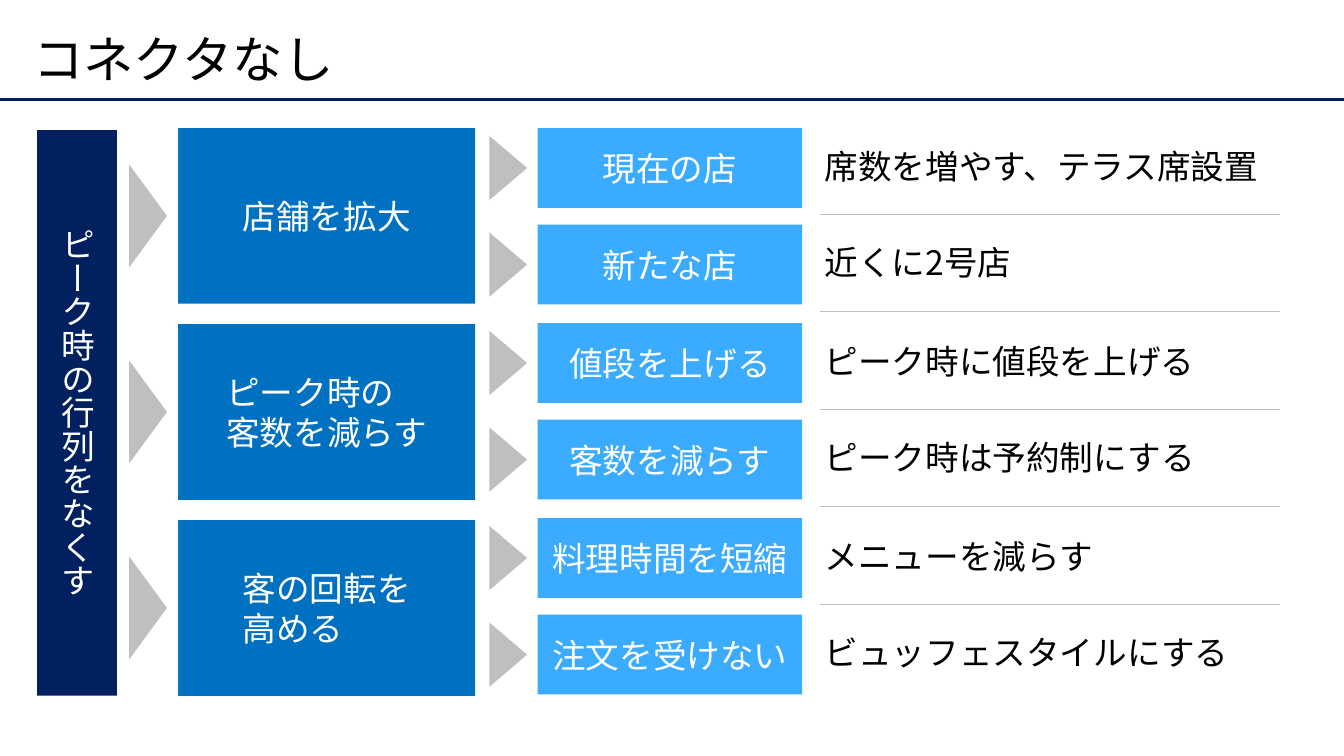
from dataclasses import dataclass

from lxml import etree
from pptx import Presentation
from pptx.dml.color import RGBColor
from pptx.enum.shapes import MSO_CONNECTOR, MSO_SHAPE
from pptx.enum.text import MSO_ANCHOR, PP_ALIGN
from pptx.oxml.ns import qn
from pptx.util import Pt

RECT, TRIANGLE = MSO_SHAPE.RECTANGLE, MSO_SHAPE.ISOSCELES_TRIANGLE
STRAIGHT = MSO_CONNECTOR.STRAIGHT
MIDDLE, LEFT = MSO_ANCHOR.MIDDLE, PP_ALIGN.LEFT


@dataclass(frozen=True)
class Theme:
    font: str = "Noto Sans CJK JP"
    title_size: int = 36
    body_size: int = 24
    navy: str = "002060"
    blue: str = "0070C0"
    sky: str = "3BABFF"
    gray: str = "BFBFBF"
    black: str = "000000"
    white: str = "FFFFFF"


THEME = Theme()

TITLE = "コネクタなし"
ROOT = "ピーク時の行列をなくす"
# Branch lines, then (cause, measure) for each leaf
BRANCHES = [
    (["店舗を拡大"],
     [("現在の店", "席数を増やす、テラス席設置"), ("新たな店", "近くに2号店")]),
    (["ピーク時の", "客数を減らす"],
     [("値段を上げる", "ピーク時に値段を上げる"),
      ("客数を減らす", "ピーク時は予約制にする")]),
    (["客の回転を", "高める"],
     [("料理時間を短縮", "メニューを減らす"),
      ("注文を受けない", "ビュッフェスタイルにする")]),
]

# Vertical rhythm of the tree, in points
TREE_TOP = 91.5
BRANCH_PITCH, BRANCH_HEIGHT = 140, 125.5
LEAF_GROUP_PITCH, LEAF_PITCH, LEAF_HEIGHT = 139.3, 69, 57


def to_pt(box):
    return [Pt(v) for v in box]


def write(tf, lines, color, size=THEME.body_size):
    for i, line in enumerate(lines):
        p = tf.paragraphs[0] if i == 0 else tf.add_paragraph()
        p.text = line
        p.alignment = LEFT
        p.font.size = Pt(size)
        p.font.color.rgb = RGBColor.from_string(color)
        p.font.name = THEME.font
        ea = etree.SubElement(p._p.pPr.find(qn("a:defRPr")), qn("a:ea"))
        ea.set("typeface", THEME.font)


def add_filled(slide, kind, box, color):
    sp = slide.shapes.add_shape(kind, *to_pt(box))
    sp.shadow.inherit = False
    sp.fill.solid()
    sp.fill.fore_color.rgb = RGBColor.from_string(color)
    sp.line.fill.background()
    return sp


def add_block(slide, box, color, lines):
    """Rectangle whose left-aligned text is centred as one block."""
    tf = add_filled(slide, RECT, box, color).text_frame
    tf.word_wrap = True
    tf.vertical_anchor = MIDDLE
    tf.margin_left = tf.margin_right = Pt(3.6)
    tf.margin_top = tf.margin_bottom = Pt(5)
    body = tf._txBody.bodyPr
    body.set("anchorCtr", "1")
    write(tf, lines, THEME.white)
    return body


def add_pointer(slide, center_x, center_y, span):
    """Right-pointing triangle, span points tall."""
    depth = 27
    box = (center_x - span / 2, center_y - depth / 2, span, depth)
    add_filled(slide, TRIANGLE, box, THEME.gray).rotation = 90


def add_rule(slide, left, right, y, color, width):
    line = slide.shapes.add_connector(STRAIGHT, *to_pt((left, y, right, y)))
    line.line.color.rgb = RGBColor.from_string(color)
    line.line.width = Pt(width)
    etree.SubElement(line._element.spPr, qn("a:effectLst"))


def draw_header(slide, box):
    left, top, width, height = box
    add_rule(slide, 0, 960, top + 57, THEME.navy, 2.25)
    title = slide.shapes.title
    title.left, title.top, title.width, title.height = to_pt(box)
    title.text_frame.vertical_anchor = MIDDLE
    write(title.text_frame, [TITLE], THEME.black, THEME.title_size)
    title.text_frame.paragraphs[0].line_spacing = 0.9


def draw_root(slide, box):
    add_block(slide, box, THEME.navy, [ROOT]).set("vert", "eaVert")


def draw_branch(slide, box, lines):
    left, top, width, height = box
    add_block(slide, box, THEME.blue, lines)
    add_pointer(slide, left - 21.5, top + height / 2, 73.5)


def draw_leaf(slide, box, cause, measure, ruled):
    left, top, width, height = box
    add_block(slide, (left, top, 189, height), THEME.sky, [cause])
    add_pointer(slide, left - 21, top + height / 2, 46)
    tb = slide.shapes.add_textbox(*to_pt((left + 198, top + 9, 365, 36)))
    tb.text_frame.word_wrap = True
    write(tb.text_frame, [measure], THEME.black)
    if ruled:
        add_rule(slide, left + 202, left + width, top + 62, THEME.gray, 0.75)


def draw_tree(slide):
    draw_root(slide, (26.5, 93, 57, 404))
    for i, (lines, leaves) in enumerate(BRANCHES):
        top = TREE_TOP + i * BRANCH_PITCH
        draw_branch(slide, (127.25, top, 212.25, BRANCH_HEIGHT), lines)
        for j, (cause, measure) in enumerate(leaves):
            top = TREE_TOP + i * LEAF_GROUP_PITCH + j * LEAF_PITCH
            last = i == len(BRANCHES) - 1 and j == len(leaves) - 1
            draw_leaf(slide, (384, top, 530.5, LEAF_HEIGHT),
                      cause, measure, not last)


def main():
    prs = Presentation()
    prs.slide_width, prs.slide_height = Pt(960), Pt(540)
    slide = prs.slides.add_slide(prs.slide_layouts[5])
    draw_header(slide, (16.5, 14.4, 907, 60.5))
    draw_tree(slide)
    prs.save("out.pptx")


if __name__ == "__main__":
    main()
